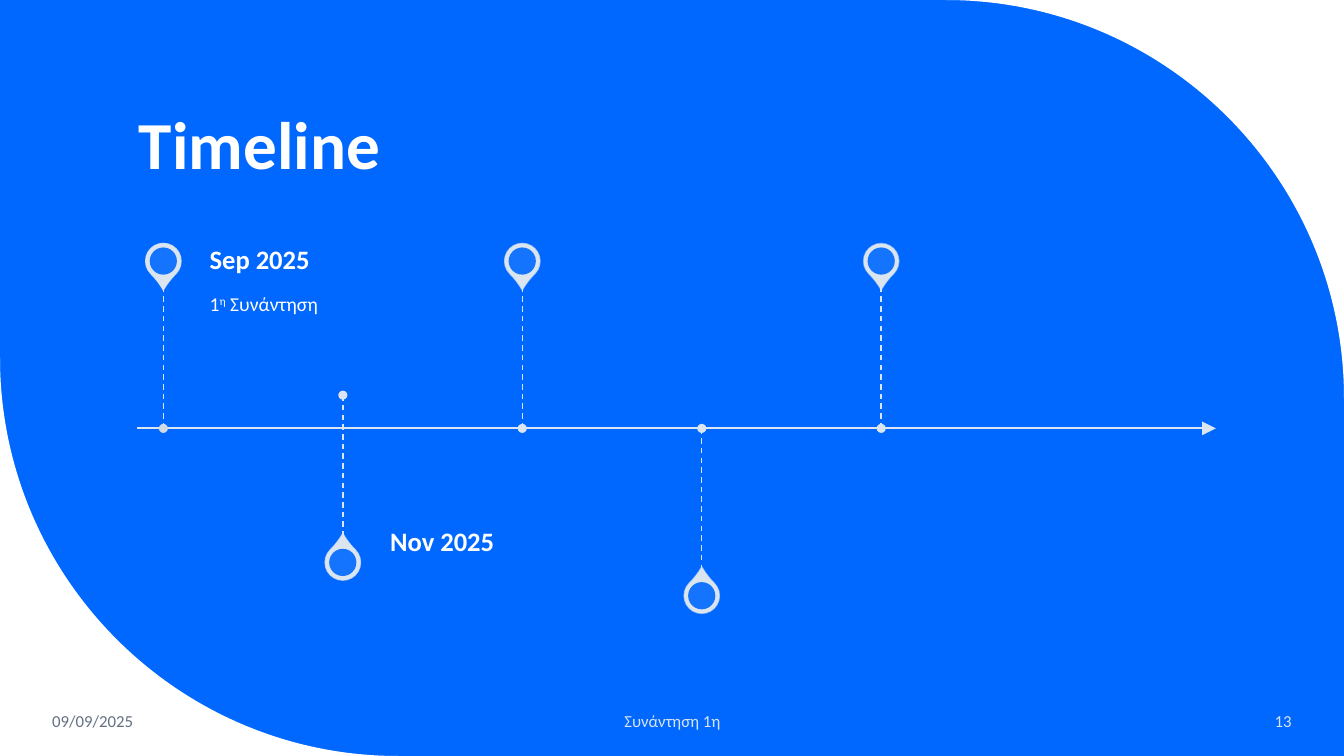
"""Build the blue timeline slide with five map pins."""
from pptx import Presentation
from pptx.dml.color import RGBColor
from pptx.enum.dml import MSO_LINE
from pptx.enum.shapes import MSO_CONNECTOR, MSO_SHAPE
from pptx.enum.text import MSO_ANCHOR, PP_ALIGN
from pptx.oxml.ns import qn
from pptx.util import Inches, Pt
from lxml import etree

LINE = MSO_CONNECTOR.STRAIGHT
DASH, SOLID = MSO_LINE.DASH, MSO_LINE.SOLID
DROP, OVAL = MSO_SHAPE.TEAR, MSO_SHAPE.OVAL
TOP, MID, LOW = MSO_ANCHOR.TOP, MSO_ANCHOR.MIDDLE, MSO_ANCHOR.BOTTOM
LEFT, MIDST, RIGHT = PP_ALIGN.LEFT, PP_ALIGN.CENTER, PP_ALIGN.RIGHT
BLUE, WHITE, PALE, GREY = "0068FF", "FFFFFF", "DAE5EF", "637183"
WIDE, HIGH, ARC, BEND = 13.33, 7.5, 3.95, 1.77
AXIS, STEM, REACH = 4.25, 1.41, 1.66


def tint(fill, shade):
    fill.solid()
    fill.fore_color.rgb = RGBColor.from_string(shade)


def rule(start, end, width, dash):
    line = slide.shapes.add_connector(LINE, *map(Inches, start + end))
    tint(line.line.fill, PALE)
    line.line.width = Pt(width)
    line.line.dash_style = dash
    etree.SubElement(line._element.spPr, qn("a:effectLst"))
    return line


deck = Presentation()
deck.slide_width, deck.slide_height = Inches(WIDE), Inches(HIGH)
slide = deck.slides.add_slide(deck.slide_layouts[6])
tint(slide.background.fill, BLUE)

for x, y, way in [(WIDE, 0, -1), (0, HIGH, 1)]:
    knots = [
        (x + way * ARC, y), (x + way * BEND, y),
        (x, y - way * BEND), (x, y - way * ARC),
    ]
    pen = slide.shapes.build_freeform(Inches(x), Inches(y))
    pen.add_line_segments([(Inches(a), Inches(b)) for a, b in knots])
    corner = pen.convert_to_shape()
    corner.shadow.inherit = False
    tint(corner.fill, WHITE)
    corner.line.fill.background()
    sides = corner._element.spPr.xpath(".//a:lnTo")[1:4]
    curve = etree.Element(qn("a:cubicBezTo"))
    sides[0].addprevious(curve)
    for side in sides:
        curve.append(side[0])
        side.getparent().remove(side)

axis = rule((1.36, AXIS), (12.06, AXIS), 1.5, SOLID)
ends = {"type": "triangle", "w": "lg", "len": "lg"}
etree.SubElement(axis.line._get_or_add_ln(), qn("a:tailEnd"), ends)

pins = [(AXIS, -1), (3.92, 1), (AXIS, -1), (AXIS, 1), (AXIS, -1)]
for index, (base, way) in enumerate(pins):
    x = 1.62 + 1.78 * index
    head = base + way * REACH
    parts = [
        (DROP, head, 0.35, PALE, 90 - 10 * index),
        (OVAL, head, 0.27, BLUE, 90),
        (OVAL, base, 0.09, PALE if index else "D0DBE4", 100),
    ]
    rule((x, base), (x, base + way * STEM), 1, DASH)
    for kind, y, size, shade, alpha in parts:
        box = map(Inches, (x - size / 2, y - size / 2, size, size))
        part = slide.shapes.add_shape(kind, *box)
        part.shadow.inherit = False
        tint(part.fill, shade)
        if kind == DROP:
            part.adjustments[0] = 1.15
            part.rotation = 135 if way < 0 else 315
            tint(part.line.fill, shade)
            part.line.width = Pt(1)
        else:
            part.line.fill.background()
        if alpha < 100:
            hue = part._element.spPr.xpath(".//a:srgbClr")[-1]
            etree.SubElement(hue, qn("a:alpha"), val=str(alpha * 1000))

plain = (0.1, 0.05, 0.1, 0.05)
tight = (0, 0, 0.13, 0)
texts = [
    (["Timeline"], (1.28, 0.42, 10.69, 1.45), plain, LOW, LEFT, 0.9, 48, True, WHITE),
    (["Sep 2025"], (2.08, 2.34, 2.54, 0.5), tight, MID, LEFT, 0.9, 19, True, WHITE),
    (["1", "η", " Συνάντηση"], (2.08, 2.84, 2.54, 1.41), (0, 0.1, 0.1, 0.15),
     TOP, LEFT, 0.9, 14, False, WHITE),
    (["Nov 2025"], (3.87, 4.92, 2.53, 0.94), tight, MID, LEFT, 0.9, 19, True, WHITE),
    (["09/09/2025"], (0.42, 6.95, 1.86, 0.4), plain, MID, LEFT, 1.0, 12, False, GREY),
    (["Συνάντηση 1η"], (4.42, 6.95, 4.5, 0.4), plain, MID, MIDST, 1.0, 12, False, PALE),
    (["13"], (11.1, 6.95, 1.81, 0.4), plain, MID, RIGHT, 1.0, 12, False, PALE),
]
for words, place, inset, anchor, align, space, size, bold, shade in texts:
    frame = slide.shapes.add_textbox(*map(Inches, place)).text_frame
    left, top, right, low = map(Inches, inset)
    form = {
        "word_wrap": True, "vertical_anchor": anchor, "margin_left": left,
        "margin_top": top, "margin_right": right, "margin_bottom": low,
    }
    for name, value in form.items():
        setattr(frame, name, value)
    para = frame.paragraphs[0]
    para.alignment, para.line_spacing = align, space
    for word in words:
        run = para.add_run()
        run.text = word
        style = {"name": "Calibri", "size": Pt(size), "bold": bold}
        for name, value in style.items():
            setattr(run.font, name, value)
        tint(run.font.fill, shade)
        if word == "η":
            run.font._element.set("baseline", "30000")

deck.save("out.pptx")
